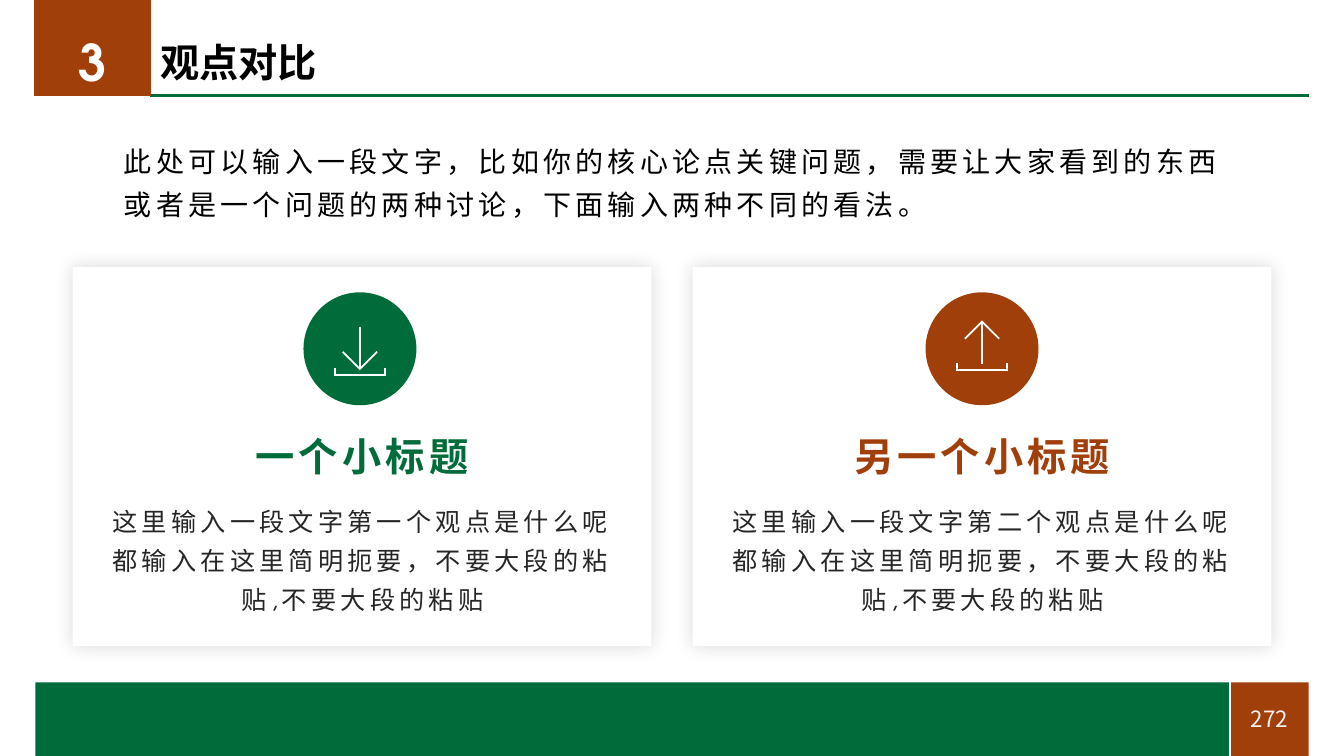
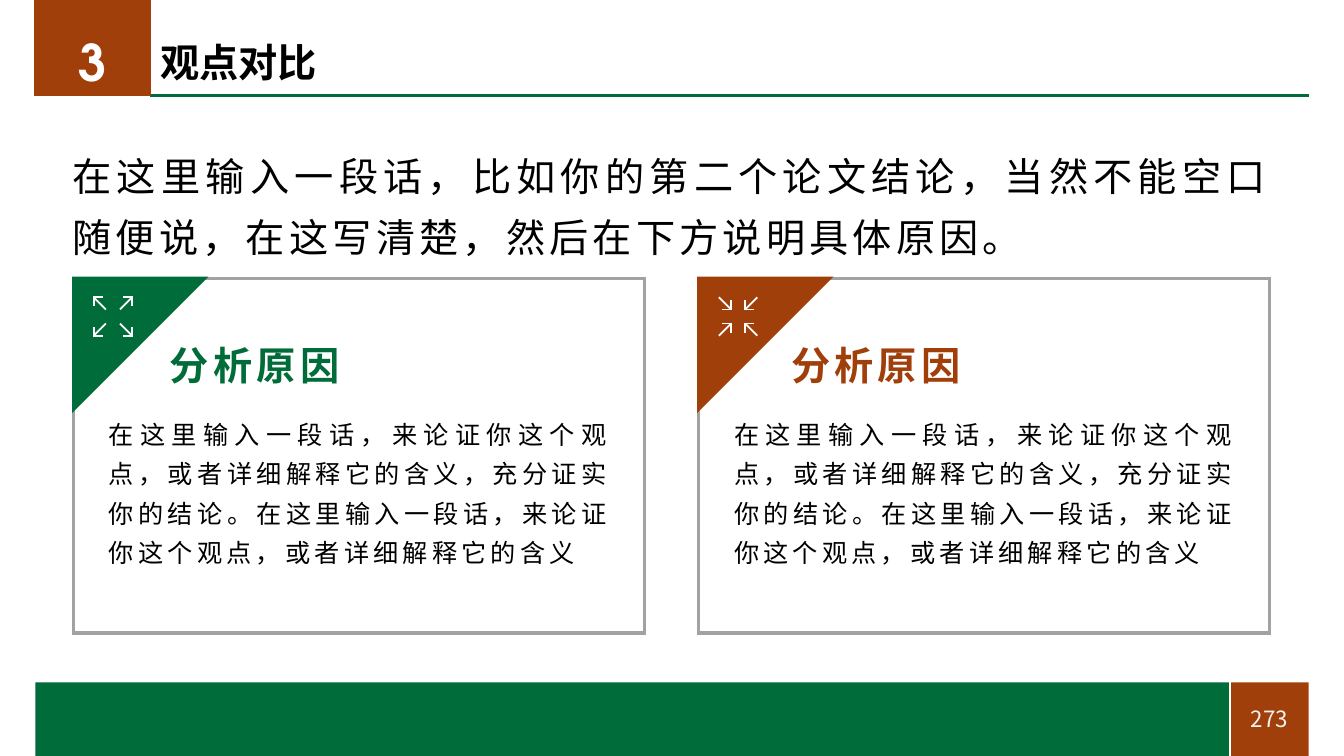
from dataclasses import dataclass
from itertools import product

from lxml.etree import SubElement
from pptx import Presentation
from pptx.dml.color import RGBColor
from pptx.enum.shapes import MSO_CONNECTOR, MSO_SHAPE
from pptx.enum.text import MSO_ANCHOR, PP_ALIGN
from pptx.oxml.ns import qn
from pptx.util import Emu, Pt

PX = 9144  # 100 px to the inch


@dataclass(frozen=True)
class Theme:
    green: str = "006C39"
    rust: str = "A13F0B"
    white: str = "FFFFFF"
    black: str = "000000"
    ink: str = "262626"
    pale: str = "F2F2F2"
    grey: str = "A2A2A2"
    cjk: str = "Noto Sans CJK SC"
    latin: str = "TeX Gyre Adventor"
    badge_size: int = 36
    title_size: int = 28
    intro_size: int = 20
    body_size: int = 18
    number_size: int = 16
    tracking: int = 3
    leading: float = 1.3
    thick: float = 2.25
    thin: float = 1
    stroke: float = 1.25


THEME = Theme()
SECTION = "3"
TITLE = "观点对比"
FIRST_NUMBER = 272


def px(*lengths):
    return [Emu(length * PX) for length in lengths]


def rgb(colour):
    return RGBColor.from_string(colour)


def set_line(shape, colour, width):
    """Plain line with sharp corners."""
    shape.line.color.rgb = rgb(colour)
    shape.line.width = Pt(width)
    outline = shape.element.spPr.find(qn("a:ln"))
    SubElement(outline, qn("a:miter"), lim="800000")


def add_block(page, kind, bounds, fill=None, outline=None, width=THEME.thick):
    block = page.shapes.add_shape(kind, *px(*bounds))
    block.shadow.inherit = False
    if fill:
        block.fill.solid()
        block.fill.fore_color.rgb = rgb(fill)
    else:
        block.fill.background()
    if outline:
        set_line(block, outline, width)
    else:
        block.line.fill.background()
    return block


def add_glow(block):
    """Soft, even shadow on all sides."""
    effects = block.element.spPr.find(qn("a:effectLst"))
    shadow = SubElement(effects, qn("a:outerShdw"), blurRad=str(Pt(13)), dist="0",
                        dir="0", algn="ctr", rotWithShape="0")
    colour = SubElement(shadow, qn("a:srgbClr"), val=THEME.black)
    SubElement(colour, qn("a:alpha"), val="15000")


def add_line(page, start, end, colour, width):
    line = page.shapes.add_connector(MSO_CONNECTOR.STRAIGHT, *px(*start, *end))
    set_line(line, colour, width)
    SubElement(line.element.spPr, qn("a:effectLst"))
    return line


def write(box, text, size, colour, font=THEME.cjk, bold=False,
          align=PP_ALIGN.LEFT, spacing=None, tracking=0):
    para = box.text_frame.paragraphs[0]
    para.text = text
    para.alignment = align
    para.line_spacing = spacing
    for span in para.runs:
        span.font.size = Pt(size)
        span.font.bold = bold
        span.font.color.rgb = rgb(colour)
        span.font.name = font
    for properties in box.element.iter(qn("a:pPr")):
        properties.set("hangingPunct", "0")
    for properties in box.element.iter(qn("a:rPr")):
        SubElement(properties, qn("a:ea"), typeface=THEME.cjk)
        if tracking:
            properties.set("spc", str(tracking * 100))


def add_text(page, bounds, text, size, colour, inset=True,
             anchor=MSO_ANCHOR.TOP, **style):
    box = page.shapes.add_textbox(*px(*bounds))
    frame = box.text_frame
    frame.word_wrap = True
    frame.vertical_anchor = anchor
    if not inset:
        frame.margin_left = frame.margin_right = 0
        frame.margin_top = frame.margin_bottom = 0
    write(box, text, size, colour, **style)


def add_copy(page, bounds, text, size, colour, inset=False, **style):
    """Spaced-out text with open leading, as used below the header."""
    add_text(page, bounds, text, size, colour, inset=inset,
             spacing=THEME.leading, tracking=THEME.tracking, **style)


def add_strokes(page, *strokes):
    """One white outline made of several open polylines."""
    builder = page.shapes.build_freeform(*strokes[0][0], scale=PX)
    for index, (start, *rest) in enumerate(strokes):
        if index:
            builder.move_to(*start)
        builder.add_line_segments(rest, close=False)
    outline = builder.convert_to_shape()
    outline.shadow.inherit = False
    outline.fill.background()
    set_line(outline, THEME.white, THEME.stroke)


def add_tray_icon(page, x, y, direction):
    """Arrow over a tray; direction is 1 for down and -1 for up."""
    tip, tail = y + 21 * direction, y - 21 * direction
    barb = tip - 17 * direction
    add_strokes(page, [(x, tail), (x, tip)],
                [(x - 17, barb), (x, tip), (x + 17, barb)])
    add_strokes(page, [(x - 25, y + 20), (x - 25, y + 27),
                       (x + 25, y + 27), (x + 25, y + 20)])


def add_corner_arrows(page, x, y, tip, tail):
    """Four diagonal arrows; tip and tail are distances from the centre."""
    barb = tip + (9 if tail > tip else -9)
    for across, down in product((-1, 1), repeat=2):
        def at(dx, dy):
            return x + dx * across, y + dy * down
        add_strokes(page, [at(tail, tail), at(tip, tip)],
                    [at(barb, tip), at(tip, tip), at(tip, barb)])


def dress_layout(layout, page):
    """Draw the bands on a page, then move them to the layout."""
    for holder in list(layout.placeholders):
        if holder.placeholder_format.idx:
            holder.element.getparent().remove(holder.element)
    title = layout.placeholders[0]
    title.left, title.top, title.width, title.height = px(149, 38, 945, 53)
    bands = [
        add_line(page, (149, 95), (1298, 95), THEME.green, THEME.thick),
        add_block(page, MSO_SHAPE.RECTANGLE, (1220, 677, 78, 73), THEME.rust),
        add_block(page, MSO_SHAPE.RECTANGLE, (34, 0, 115, 95), THEME.rust,
                  THEME.rust, THEME.thin),
        add_block(page, MSO_SHAPE.RECTANGLE, (35, 677, 1185, 73), THEME.green),
        add_line(page, (1220, 677), (1220, 750), THEME.white, THEME.thin),
    ]
    for band in bands:
        layout.shapes.element.append(band.element)


def add_header(page, number):
    title = page.shapes.title
    title.text_frame.vertical_anchor = MSO_ANCHOR.MIDDLE
    write(title, TITLE, THEME.title_size, THEME.black, bold=True, spacing=0.9)
    add_text(page, (39, 26, 106, 71), SECTION, THEME.badge_size, THEME.white,
             font=THEME.latin, bold=True, align=PP_ALIGN.CENTER)
    add_text(page, (1229, 694, 60, 37), str(number), THEME.number_size,
             THEME.pale, anchor=MSO_ANCHOR.MIDDLE, align=PP_ALIGN.CENTER)


def add_view_card(page, left, icon_x, colour, direction, heading, body):
    card = add_block(page, MSO_SHAPE.RECTANGLE, (left, 265, 574, 376), THEME.white)
    add_glow(card)
    add_block(page, MSO_SHAPE.OVAL, (icon_x - 56, 290, 112, 112), colour)
    add_tray_icon(page, icon_x, 345 if direction > 0 else 340, direction)
    add_copy(page, (left + 142, 415, 290, 58), heading, THEME.title_size,
             colour, bold=True, align=PP_ALIGN.CENTER)
    add_copy(page, (left + 35, 493, 505, 114), body, THEME.body_size, THEME.ink,
             font=THEME.latin, align=PP_ALIGN.CENTER)


def add_reason_card(page, left, heading_left, colour, tip, tail):
    add_block(page, MSO_SHAPE.RECTANGLE, (left, 276, 566, 352), outline=THEME.grey)
    corner = add_block(page, MSO_SHAPE.RIGHT_TRIANGLE, (left, 276, 130, 130),
                       colour, colour)
    corner.rotation = 90
    add_corner_arrows(page, left + 39, 314, tip, tail)
    add_copy(page, (heading_left, 320, 245, 68), "分析原因", THEME.title_size,
             colour, inset=True, bold=True, align=PP_ALIGN.CENTER)
    add_copy(page, (left + 35, 407, 498, 158),
             "在这里输入一段话，来论证你这个观点，或者详细解释它的含义，充分证实你的结论。"
             "在这里输入一段话，来论证你这个观点，或者详细解释它的含义",
             THEME.body_size, THEME.black, font=THEME.latin, align=PP_ALIGN.JUSTIFY)


def fill_views(page):
    add_copy(page, (123, 133, 1104, 83),
             "此处可以输入一段文字，比如你的核心论点关键问题，需要让大家看到的东西"
             "或者是一个问题的两种讨论，下面输入两种不同的看法。",
             THEME.intro_size, THEME.black, font=THEME.latin)
    views = [(THEME.green, 1, "一个小标题", "一"),
             (THEME.rust, -1, "另一个小标题", "二")]
    for index, (colour, direction, heading, ordinal) in enumerate(views):
        body = (f"这里输入一段文字第{ordinal}个观点是什么呢"
                "都输入在这里简明扼要，不要大段的粘贴,不要大段的粘贴")
        add_view_card(page, 72 + 615 * index, 357 + 617 * index,
                      colour, direction, heading, body)


def fill_reasons(page):
    add_copy(page, (72, 137, 1188, 119),
             "在这里输入一段话，比如你的第二个论文结论，当然不能空口随便说，"
             "在这写清楚，然后在下方说明具体原因。",
             THEME.title_size, THEME.black, align=PP_ALIGN.JUSTIFY)
    reasons = [(THEME.green, 19, 7), (THEME.rust, 7, 19)]
    for index, (colour, tip, tail) in enumerate(reasons):
        add_reason_card(page, 73 + 620 * index, 130 + 616 * index,
                        colour, tip, tail)


def main():
    deck = Presentation()
    deck.slide_width, deck.slide_height = px(1333, 750)
    layout = deck.slide_layouts.get_by_name("Title Only")
    fillers = [fill_views, fill_reasons]
    pages = [deck.slides.add_slide(layout) for _ in fillers]
    dress_layout(layout, pages[0])
    for number, (page, fill) in enumerate(zip(pages, fillers), FIRST_NUMBER):
        add_header(page, number)
        fill(page)
    deck.save("out.pptx")


if __name__ == "__main__":
    main()
